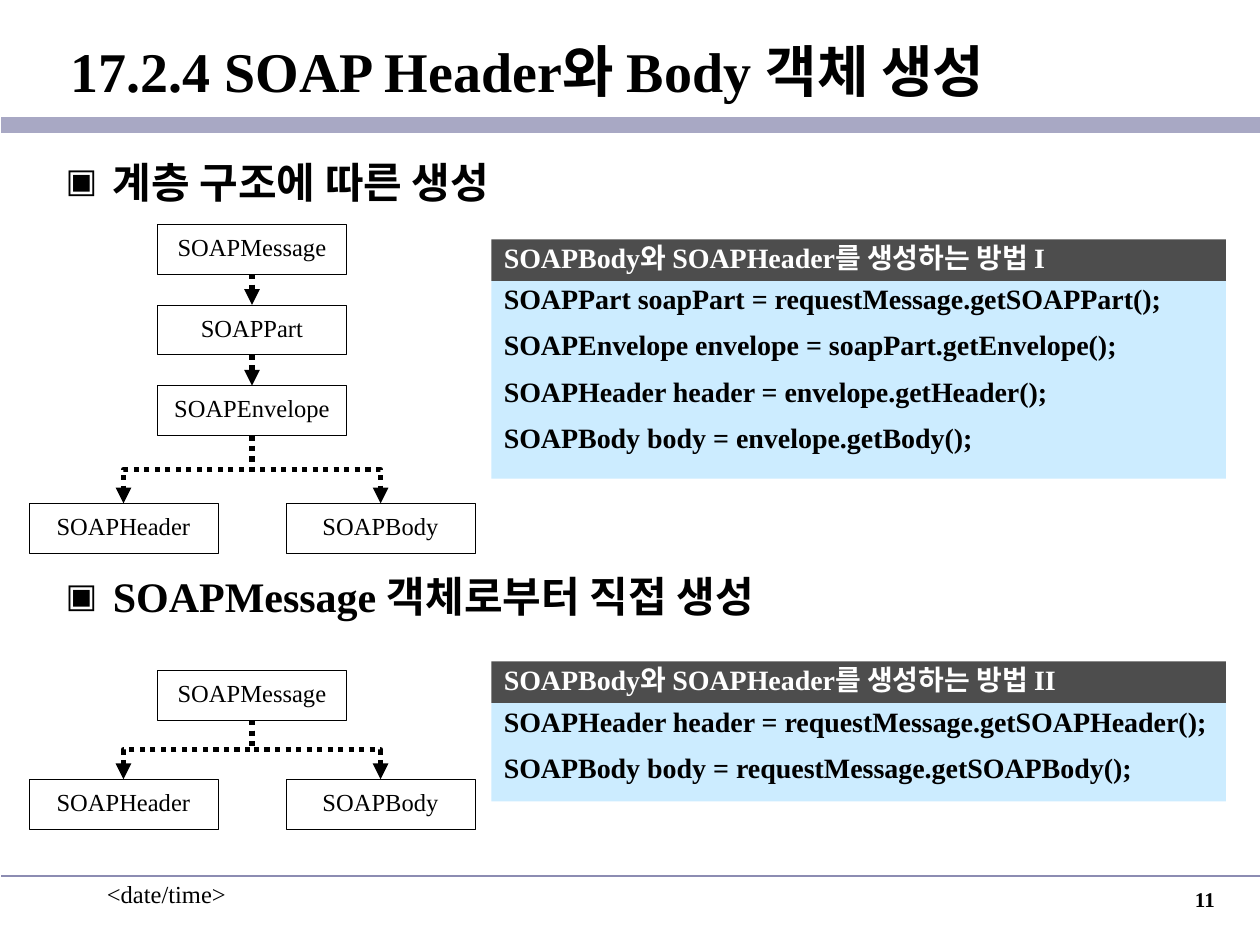
import pptx
import pptx.util
import pptx.dml.color
import pptx.enum.dml
import pptx.enum.shapes
import pptx.enum.text
import pptx.oxml
import pptx.oxml.ns

FONT = "Times New Roman"
HUES = {"ink": "000000", "paper": "FFFFFF", "bar": "A8A8C4",
        "rule": "8C8CB2", "head": "4D4D4D", "code": "CCECFF"}
COLS, ROWS = 100, 75
NODE_W, NODE_H, STEP = 15, 3.95, 6.4
HEAD_H = 3.3

Pt = pptx.util.Pt
Align = pptx.enum.text.PP_ALIGN
Anchor = pptx.enum.text.MSO_ANCHOR
Link = pptx.enum.shapes.MSO_CONNECTOR

deck = pptx.Presentation()
deck.slide_width = pptx.util.Inches(10)
deck.slide_height = pptx.util.Inches(7.5)


def col(n):
    return round(deck.slide_width * n / COLS)


def row(n):
    return round(deck.slide_height * n / ROWS)


def span(box):
    x, y, w, h = box
    return col(x), row(y), col(w), row(h)


def hue(name):
    return pptx.dml.color.RGBColor.from_string(HUES[name])


def place(shape, box):
    shape.left, shape.top, shape.width, shape.height = span(box)


def write(shape, lines, size, bold=False, tone="ink", align=Align.LEFT,
          anchor=Anchor.TOP, pitch=1.0, gap=0):
    frame = shape.text_frame
    frame.text = "\n".join(lines)
    frame.word_wrap = True
    frame.auto_size = pptx.enum.text.MSO_AUTO_SIZE.NONE
    frame.vertical_anchor = anchor
    for i, para in enumerate(frame.paragraphs):
        para.alignment = align
        para.line_spacing = pitch
        para.space_before = Pt(gap if i else 0)
        for run in para.runs:
            run.font.name = FONT
            run.font.size = Pt(size)
            run.font.bold = bold
            run.font.color.rgb = hue(tone)


def block(slide, box, fill=None, edge=None):
    shape = slide.shapes.add_shape(
        pptx.enum.shapes.MSO_SHAPE.RECTANGLE, *span(box))
    shape.shadow.inherit = False
    if fill:
        shape.fill.solid()
        shape.fill.fore_color.rgb = hue(fill)
    else:
        shape.fill.background()
    if edge:
        shape.line.color.rgb = hue(edge)
        shape.line.width = Pt(0.25)
    else:
        shape.line.fill.background()
    return shape


def wire(slide, kind, start, end, tone, width):
    line = slide.shapes.add_connector(
        kind, col(start[0]), row(start[1]), col(end[0]), row(end[1]))
    line.line.color.rgb = hue(tone)
    line.line.width = Pt(width)
    line._element.spPr.append(pptx.oxml.parse_xml(
        f"<a:effectLst {pptx.oxml.ns.nsdecls('a')}/>"))
    return line


def arrow(slide, kind, start, end):
    line = wire(slide, kind, start, end, "ink", 3)
    line.line.dash_style = pptx.enum.dml.MSO_LINE.ROUND_DOT
    line.line._ln.append(pptx.oxml.parse_xml(
        f"<a:tailEnd {pptx.oxml.ns.nsdecls('a')} type='triangle'/>"))
    return line


def elbow(slide, start, end):
    (x1, y1), (x2, y2) = start, end
    mid_x, mid_y = (x1 + x2) / 2, (y1 + y2) / 2
    half_w, half_h = (y2 - y1) / 2, abs(x2 - x1) / 2
    side = 1 if x2 < x1 else -1
    line = arrow(slide, Link.ELBOW,
                 (mid_x - side * half_w, mid_y - half_h),
                 (mid_x + side * half_w, mid_y + half_h))
    turn = 90 if side == 1 else 270
    line._element.spPr.find(pptx.oxml.ns.qn("a:xfrm")).set(
        "rot", str(turn * 60000))


def node(slide, x, y, name):
    shape = block(slide, (x, y, NODE_W, NODE_H), edge="ink")
    write(shape, [name], 14, align=Align.CENTER, anchor=Anchor.MIDDLE,
          pitch=0.85)
    return shape


def tree(slide, box, chain, leaves):
    x, y, w, h = box
    mid = x + w / 2
    nodes = [node(slide, mid - NODE_W / 2, y + i * STEP, name)
             for i, name in enumerate(chain)]
    for upper, lower in zip(nodes, nodes[1:]):
        line = arrow(slide, Link.STRAIGHT, (mid, y), (mid, y + STEP))
        line.begin_connect(upper, 2)
        line.end_connect(lower, 0)
    base = y + (len(chain) - 1) * STEP + NODE_H
    top = y + h - NODE_H
    for left, name in zip((x, x + w - NODE_W), leaves):
        node(slide, left, top, name)
        elbow(slide, (mid, base), (left + NODE_W / 2, top))


def panel(slide, box, title, code):
    x, y, w, h = box
    body = block(slide, (x, y + HEAD_H, w, h - HEAD_H), "code")
    write(body, code, 16, True, pitch=0.85, gap=10)
    head = block(slide, (x, y, w, HEAD_H), "head")
    write(head, [title], 16, True, "paper", pitch=0.85)


def title(slide, box, text):
    shape = slide.shapes.title
    place(shape, box)
    write(shape, [text], 32, True, anchor=Anchor.MIDDLE)
    shape.text_frame.margin_left = col(5.5)
    x, y, w, h = box
    wire(slide, Link.STRAIGHT, (x, y + h - 0.2), (x + w, y + h - 0.2),
         "bar", 9.25)


def topics(slide, box, lines, gap):
    shape = slide.placeholders[1]
    place(shape, box)
    shape.text_frame.text = "\n".join(lines)
    write(shape, lines, 24, True, gap=gap)
    for para in shape.text_frame.paragraphs:
        props = para._p.get_or_add_pPr()
        props.set("marL", str(col(3.75)))
        props.set("indent", str(-col(3.75)))
        for mark in (f"<a:buClr {{}}><a:srgbClr val='{HUES['ink']}'/></a:buClr>",
                     "<a:buSzPct {} val='80000'/>",
                     f"<a:buFont {{}} typeface='{FONT}'/>",
                     "<a:buChar {} char='▣'/>"):
            props.append(pptx.oxml.parse_xml(
                mark.format(pptx.oxml.ns.nsdecls("a"))))


def footer(slide, box, date, page):
    x, y, w, h = box
    wire(slide, Link.STRAIGHT, (x, y), (x + w, y), "rule", 1)
    left = slide.shapes.add_textbox(*span((x + 7.4, y - 0.2, 20.8, h)))
    write(left, [date], 14)
    right = slide.shapes.add_textbox(*span((x + w - 23.4, y + 0.4, 20.8, h)))
    write(right, [page], 12, True, align=Align.RIGHT)


def main():
    slide = deck.slides.add_slide(deck.slide_layouts[1])
    title(slide, (0.1, 1.1, 99.9, 9), "17.2.4 SOAP Header와 Body 객체 생성")
    topics(slide, (4.2, 11.9, 91.6, 57.1),
           ["계층 구조에 따른 생성", "SOAPMessage 객체로부터 직접 생성"], 208)
    leaves = ["SOAPHeader", "SOAPBody"]
    tree(slide, (2.3, 17.8, 35.4, 26.1),
         ["SOAPMessage", "SOAPPart", "SOAPEnvelope"], leaves)
    tree(slide, (2.3, 53.2, 35.4, 12.6), ["SOAPMessage"], leaves)
    head = "SOAPBody와 SOAPHeader를 생성하는 방법 "
    panel(slide, (39, 19, 58.3, 19), head + "I",
          ["SOAPPart soapPart = requestMessage.getSOAPPart();",
           "SOAPEnvelope envelope = soapPart.getEnvelope();",
           "SOAPHeader header = envelope.getHeader();",
           "SOAPBody body = envelope.getBody();"])
    panel(slide, (39, 52.5, 58.3, 11.1), head + "II",
          ["SOAPHeader header = requestMessage.getSOAPHeader();",
           "SOAPBody body = requestMessage.getSOAPBody();"])
    footer(slide, (0.1, 69.5, 99.9, 5), "<date/time>", "11")
    deck.save("out.pptx")


if __name__ == "__main__":
    main()
